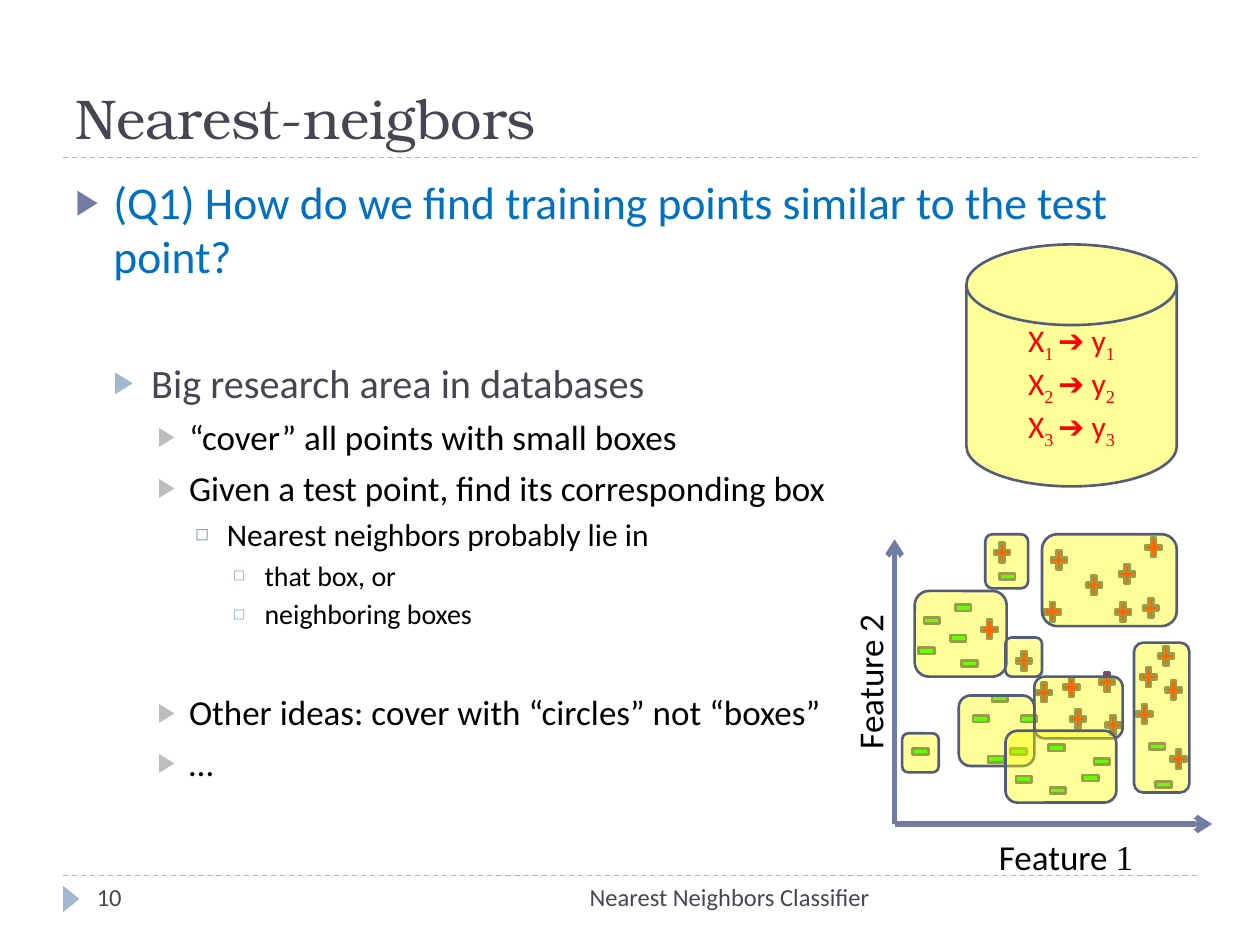
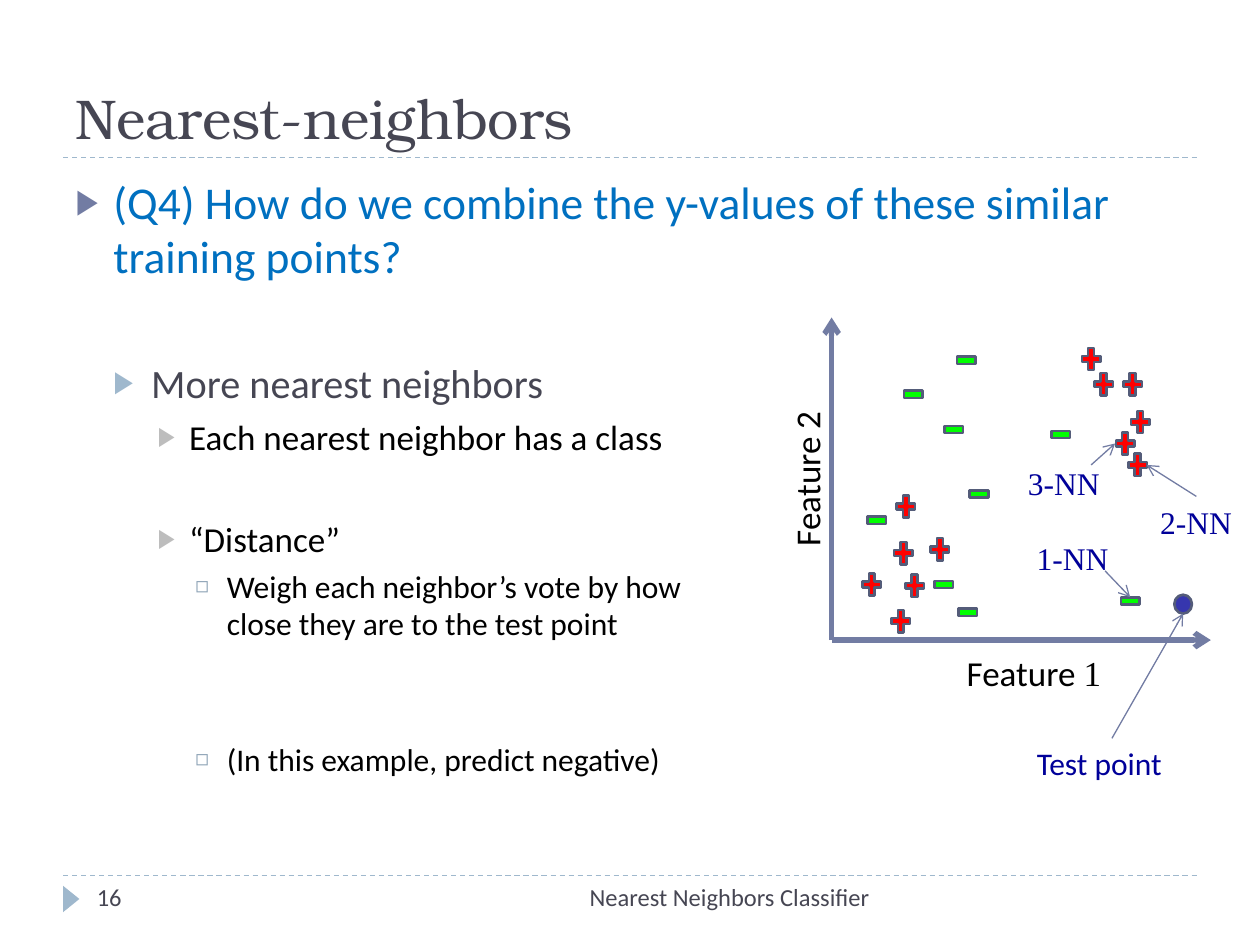
from lxml import etree
from pptx import Presentation
from pptx.dml.color import RGBColor
from pptx.enum.dml import MSO_LINE
from pptx.enum.shapes import MSO_CONNECTOR, MSO_SHAPE
from pptx.enum.text import MSO_ANCHOR, MSO_AUTO_SIZE, PP_ALIGN
from pptx.oxml.ns import qn
from pptx.util import Inches, Pt

LEFT, CENTER, RIGHT = PP_ALIGN.LEFT, PP_ALIGN.CENTER, PP_ALIGN.RIGHT
TOP, MIDDLE, BOTTOM = MSO_ANCHOR.TOP, MSO_ANCHOR.MIDDLE, MSO_ANCHOR.BOTTOM
PLUS, MINUS = MSO_SHAPE.MATH_PLUS, MSO_SHAPE.MATH_MINUS
STRAIGHT = MSO_CONNECTOR.STRAIGHT

TITLE_FONT, SANS, SERIF = "TeX Gyre Bonum", "Calibri", "Times New Roman"
INK, PALE, SLATE, OUTLINE = "464653", "9FB8CD", "727CA3", "545C79"
BLACK, RED, GREEN, YELLOW, NAVY = "000000", "FF0000", "00FF00", "FFFF00", "000099"
FOOTER = "Nearest Neighbors Classifier"
MARGIN, TITLE_RULE, FOOTER_RULE = 0.5, 1.25, 6.95
LABEL_HEIGHT = 0.43

# Per level: indent, hanging, size, colour, space before, bullet, its colour and percent
LEVELS = [
    (0.3, 0.3, 26, "0070C0", 6, "▶", SLATE, 76),
    (0.6, 0.3, 23, INK, 5, "▶", PALE, 76),
    (0.9, 0.25, 20, BLACK, 5, "▶", "BDBDBD", 76),
    (1.2, 0.25, 18, BLACK, 4, "◻", "8CA2B5", 70),
    (1.5, 0.25, 16, BLACK, 3, "◻", PALE, 70),
]

# Bullets: level, text, extra points of space above
BOXES_SLIDE = {
    "title": "Nearest-neigbors",
    "number": "10",
    "bullets": [
        (0, "(Q1) How do we find training points similar to the test point?", 0),
        (1, "Big research area in databases", 38),
        (2, "“cover” all points with small boxes", 0),
        (2, "Given a test point, find its corresponding box", 0),
        (3, "Nearest neighbors probably lie in", 0),
        (4, "that box, or", 0),
        (4, "neighboring boxes", 0),
        (2, "Other ideas: cover with “circles” not “boxes”", 29.5),
        (2, "…", 0),
    ],
    "axes": (7.1, 6.54, 9.62, 4.28),  # origin x, origin y, right end, top end
    "mark_size": (0.17, 0.21),
    "plus": [
        (8.6, 4.54), (8.04, 5.14), (9, 5.56), (9.23, 5.37), (7.77, 4.89), (7.87, 4.28),
        (8.27, 4.75), (8.32, 4.34), (8.83, 4.75), (9.05, 4.72), (9.07, 4.24), (8.2, 5.39),
        (9.27, 5.92), (8.7, 5.31), (8.75, 5.65), (8.47, 5.6), (8.42, 5.35), (9.03, 5.27),
        (9.17, 5.1), (8.86, 4.45),
    ],
    "minus": [
        (7.7, 5.6), (7.85, 5.44), (8.3, 5.83), (8.57, 6.07), (7.61, 5.16), (7.31, 4.82),
        (7.22, 5.86), (7.82, 5.92), (8, 5.86), (7.27, 5.06), (7.91, 4.47), (8.08, 5.6),
        (9.1, 5.82), (8.66, 5.94), (7.52, 4.96), (7.56, 4.72), (8.31, 6.17), (8.04, 6.08),
        (9.15, 6.12),
    ],
}
COVER_BOXES = [
    (7.26, 4.69, 0.73, 0.68), (8.27, 4.24, 1.07, 0.73), (9, 5.1, 0.44, 1.19),
    (8.21, 5.37, 0.7, 0.49), (7.61, 5.52, 0.6, 0.56), (7.98, 5.8, 0.88, 0.57),
    (7.98, 5.06, 0.29, 0.31), (7.16, 5.82, 0.29, 0.31), (7.82, 4.24, 0.34, 0.43),
]
DATABASE = (7.67, 1.94, 1.67, 1.92)
DATABASE_ROWS = "123"

VOTE_SLIDE = {
    "title": "Nearest-neighbors",
    "number": "16",
    "bullets": [
        (0, "(Q4) How do we combine the y-values of these similar training points?", 0),
        (1, "More nearest neighbors", 38),
        (2, "Each nearest neighbor has a class", 0),
        (2, "“Distance”", 29.5),
        (3, "Weigh each neighbor’s vote by how\nclose they are to the test point", 0),
        (3, "(In this example, predict negative)", 52),
    ],
    "axes": (6.6, 5.08, 9.61, 2.52),
    "mark_size": (0.2, 0.24),
    "plus": [
        (7.09, 3.9), (8.56, 2.73), (8.95, 3.23), (8.66, 2.93), (8.83, 3.4), (7.05, 4.81),
        (7.07, 4.27), (7.36, 4.24), (8.93, 3.57), (7.16, 4.53), (8.89, 2.93), (6.82, 4.52),
    ],
    "minus": [
        (8.32, 3.33), (6.86, 4.01), (7.39, 4.52), (7.67, 3.8), (7.57, 2.74), (7.47, 3.29),
        (7.15, 3.01), (7.58, 4.74), (8.87, 4.65),
    ],
}
TEST_POINT = (9.32, 4.72, 0.14, 0.15)
# Text, box, font, arrow start (None: middle of the box's top), arrow end
CALLOUTS = [
    ("Test point", (8.13, 5.86, 1.39, 0.4), SANS, None, (9.39, 4.87)),
    ("1-NN", (8.13, 4.23, 0.77, 0.4), SERIF, (8.77, 4.53), (8.97, 4.74)),
    ("2-NN", (9.11, 3.94, 0.77, 0.4), SERIF, None, (9.1, 3.69)),
    ("3-NN", (8.06, 3.63, 0.77, 0.4), SERIF, (8.66, 3.69), (8.85, 3.52)),
]


def rgb(color):
    return RGBColor.from_string(color)


def inches(lengths):
    return [Inches(length) for length in lengths]


def style_run(run, size, color, font, baseline=0):
    run.font.size, run.font.name = Pt(size), font
    run.font.color.rgb = rgb(color)
    if baseline:
        run.font._element.set("baseline", str(baseline * 1000))


def style_paragraph(paragraph, size, color, font, align=LEFT):
    paragraph.alignment = align
    for run in paragraph.runs:
        style_run(run, size, color, font)


def add_label(slide, text, box, size, color, font=SANS, align=LEFT, wrap=True):
    label = slide.shapes.add_textbox(*inches(box))
    frame = label.text_frame
    frame.word_wrap, frame.vertical_anchor = wrap, TOP
    frame.text = text
    style_paragraph(frame.paragraphs[0], size, color, font, align)
    return label


def add_figure(slide, kind, box, fill, outline=OUTLINE, opacity=100):
    figure = slide.shapes.add_shape(kind, *inches(box))
    figure.shadow.inherit = False
    figure.fill.solid()
    figure.fill.fore_color.rgb = rgb(fill)
    if opacity < 100:
        color = figure.fill._xPr.find(qn("a:solidFill"))[0]
        etree.SubElement(color, qn("a:alpha"), val=str(opacity * 1000))
    if outline:
        figure.line.color.rgb = rgb(outline)
        figure.line.width = Pt(1.5)
    else:
        figure.line.fill.background()
    return figure


def add_line(slide, start, end, color, width, dashed=False, arrow=False):
    line = slide.shapes.add_connector(STRAIGHT, *inches((*start, *end)))
    line.line.color.rgb = rgb(color)
    line.line.width = Pt(width)
    if dashed:
        line.line.dash_style = MSO_LINE.DASH
    if arrow:
        etree.SubElement(line.line._get_or_add_ln(), qn("a:tailEnd"), type="arrow")
    etree.SubElement(line._element.spPr, qn("a:effectLst"))
    return line


def place(placeholder, box, anchor):
    placeholder.left, placeholder.top, placeholder.width, placeholder.height = inches(box)
    frame = placeholder.text_frame
    frame.auto_size, frame.vertical_anchor = MSO_AUTO_SIZE.NONE, anchor
    return frame


def add_bullets(frame, bullets):
    for index, (level, text, gap) in enumerate(bullets):
        indent, hanging, size, color, space, bullet, bullet_color, percent = LEVELS[level]
        paragraph = frame.add_paragraph() if index else frame.paragraphs[0]
        paragraph.text, paragraph.level = text, level
        paragraph.space_before, paragraph.space_after = Pt(space + gap), Pt(0)
        style_paragraph(paragraph, size, color, SANS)
        properties = paragraph._p.get_or_add_pPr()
        properties.set("marL", str(Inches(indent)))
        properties.set("indent", str(-Inches(hanging)))
        tint = etree.SubElement(properties, qn("a:buClr"))
        etree.SubElement(tint, qn("a:srgbClr"), val=bullet_color)
        etree.SubElement(properties, qn("a:buSzPct"), val=str(percent * 1000))
        etree.SubElement(properties, qn("a:buChar"), char=bullet)


def add_scatter(slide, content):
    x, y, right, top = content["axes"]
    for end in ((right, y), (x, top)):
        add_line(slide, (x, y), end, SLATE, 3, arrow=True)

    width, height = right - x, y - top
    across = add_label(slide, "Feature ", (x + 0.1, y + 0.04, width, LABEL_HEIGHT),
                       20, BLACK, align=CENTER)
    digit = across.text_frame.paragraphs[0].add_run()
    digit.text = "1"
    style_run(digit, 20, BLACK, SERIF)

    middle_x, middle_y = x - 0.2, (y + top) / 2
    upward = add_label(slide, "Feature 2", (middle_x - height / 2, middle_y - LABEL_HEIGHT / 2,
                                            height, LABEL_HEIGHT), 20, BLACK, align=CENTER)
    upward.rotation = 270

    for kind, key, color in ((PLUS, "plus", RED), (MINUS, "minus", GREEN)):
        for corner in content[key]:
            add_figure(slide, kind, (*corner, *content["mark_size"]), color)


def add_slide(deck, content):
    """Add a slide with everything both slides share."""
    slide = deck.slides.add_slide(deck.slide_layouts[1])
    title, body = slide.placeholders
    frame = place(title, (MARGIN, 0.17, 9, 1.08), BOTTOM)
    frame.text = content["title"]
    style_paragraph(frame.paragraphs[0], 32, INK, TITLE_FONT)
    add_bullets(place(body, (MARGIN, 1.33, 9, 5.4), TOP), content["bullets"])

    for y in (TITLE_RULE, FOOTER_RULE):
        add_line(slide, (MARGIN, y), (10 - MARGIN, y), PALE, 0.75, dashed=True)
    pointer = add_figure(slide, MSO_SHAPE.ISOSCELES_TRIANGLE, (0.46, 7.07, 0.21, 0.13),
                         PALE, outline=None)
    pointer.rotation = 90
    add_label(slide, content["number"], (0.67, FOOTER_RULE, 2.17, 0.4), 14, INK)
    add_label(slide, FOOTER, (3.17, FOOTER_RULE, 3.83, 0.4), 14, INK, align=RIGHT)
    add_scatter(slide, content)
    return slide


def add_database(slide):
    disk = add_figure(slide, MSO_SHAPE.FLOWCHART_MAGNETIC_DISK, DATABASE, YELLOW, opacity=40)
    frame = disk.text_frame
    frame.vertical_anchor = MIDDLE
    for index, row in enumerate(DATABASE_ROWS):
        paragraph = frame.add_paragraph() if index else frame.paragraphs[0]
        paragraph.alignment = CENTER
        for text, font, baseline in (("X", SANS, 0), (row + " ", SERIF, -25),
                                     ("➔ y", SANS, 0), (row, SERIF, -25)):
            run = paragraph.add_run()
            run.text = text
            style_run(run, 18, RED, font, baseline)


def add_callouts(slide):
    for text, box, font, start, end in CALLOUTS:
        label = add_label(slide, text, box, 18, NAVY, font, wrap=False)
        left, top, width, _ = box
        arrow = add_line(slide, start or (left + width / 2, top), end, SLATE, 0.75, arrow=True)
        if start is None:
            arrow.begin_connect(label, 0)


def main():
    deck = Presentation()
    deck.slide_width, deck.slide_height = Inches(10), Inches(7.5)

    boxes_slide = add_slide(deck, BOXES_SLIDE)
    add_database(boxes_slide)
    for box in COVER_BOXES:
        add_figure(boxes_slide, MSO_SHAPE.ROUNDED_RECTANGLE, box, YELLOW, opacity=40)

    vote_slide = add_slide(deck, VOTE_SLIDE)
    add_figure(vote_slide, MSO_SHAPE.OVAL, TEST_POINT, NAVY, opacity=79)
    add_callouts(vote_slide)

    deck.save("out.pptx")


if __name__ == "__main__":
    main()
